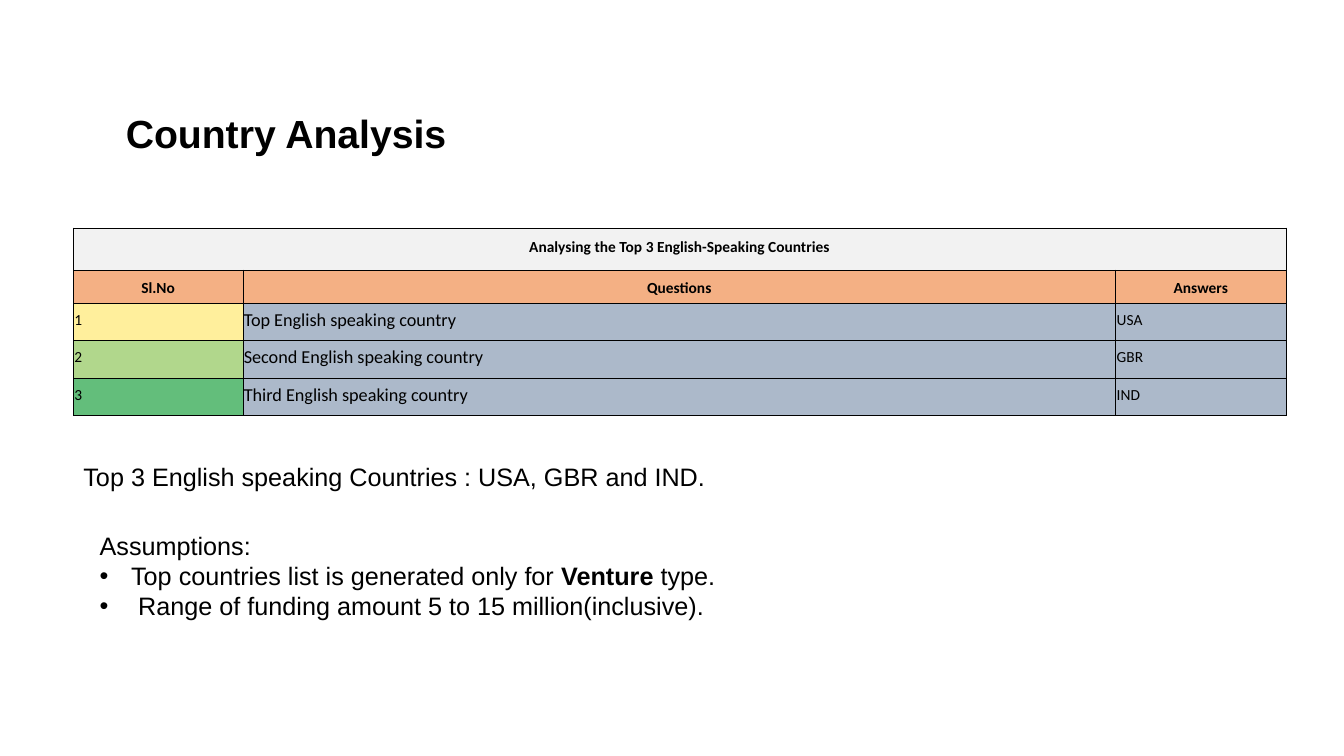
from dataclasses import dataclass

from lxml.etree import SubElement
from pptx import Presentation
from pptx.dml.color import RGBColor
from pptx.enum.text import MSO_ANCHOR, PP_ALIGN
from pptx.oxml.ns import qn
from pptx.util import Pt


@dataclass(frozen=True)
class Theme:
    ink: str = "000000"
    band: str = "F2F2F2"
    head: str = "F4B084"
    body: str = "ACB9CA"
    ranks: tuple = ("FFEF9C", "B1D78C", "63BE7B")
    sans: str = "Arial"
    grid: str = "Calibri"
    title: int = 28
    text: int = 18
    cell: int = 11
    ask: int = 13
    rule: float = 0.5


THEME = Theme()
COLS = (121, 623.5, 121.5)
ROWS = (30, 23.8, 26.8, 26.8, 26.8)
HEADS = ("Sl.No", "Questions", "Answers")
FACTS = (
    ("1", "Top English speaking country", "USA"),
    ("2", "Second English speaking country", "GBR"),
    ("3", "Third English speaking country", "IND"),
)


def style(run, size, face, bold=False):
    font = run.font
    font.size = Pt(size)
    font.name = face
    font.bold = bold
    font.color.rgb = RGBColor.from_string(THEME.ink)


def add_text(slide, box, lines, size, anchor=MSO_ANCHOR.TOP):
    """Add a text box; each line is a list of (text, bold) pieces."""
    frame = slide.shapes.add_textbox(*map(Pt, box)).text_frame
    frame.word_wrap = True
    frame.vertical_anchor = anchor
    for i, line in enumerate(lines):
        para = frame.add_paragraph() if i else frame.paragraphs[0]
        for text, bold in line:
            run = para.add_run()
            run.text = text
            style(run, size, THEME.sans, bold)
    return frame


def add_bullet(para, indent):
    props = para._p.get_or_add_pPr()
    props.set("marL", str(Pt(indent)))
    props.set("indent", str(-Pt(indent)))
    SubElement(props, qn("a:buFont"), typeface=THEME.sans)
    SubElement(props, qn("a:buChar"), char="•")


def add_rules(cell):
    """Draw a thin line on all four sides of a cell."""
    props = cell._tc.get_or_add_tcPr()
    for side in ("lnL", "lnR", "lnT", "lnB"):
        line = SubElement(props, qn(f"a:{side}"), w=str(Pt(THEME.rule)))
        fill = SubElement(line, qn("a:solidFill"))
        SubElement(fill, qn("a:srgbClr"), val=THEME.ink)


def fill_cell(cell, text, color, size, head=False, anchor=MSO_ANCHOR.MIDDLE):
    add_rules(cell)
    cell.fill.solid()
    cell.fill.fore_color.rgb = RGBColor.from_string(color)
    cell.margin_left = cell.margin_right = cell.margin_top = Pt(0.7)
    cell.margin_bottom = Pt(3.6)
    cell.vertical_anchor = anchor
    para = cell.text_frame.paragraphs[0]
    para.text = text
    para.alignment = PP_ALIGN.CENTER if head else PP_ALIGN.LEFT
    for run in para.runs:
        style(run, size, THEME.grid, head)


def add_grid(slide, left, top):
    shape = slide.shapes.add_table(
        len(ROWS), len(COLS), Pt(left), Pt(top), Pt(sum(COLS)), Pt(sum(ROWS)))
    table = shape.table
    table.first_row = table.horz_banding = False
    for col, width in zip(table.columns, COLS):
        col.width = Pt(width)
    for row, height in zip(table.rows, ROWS):
        row.height = Pt(height)

    table.cell(0, 0).merge(table.cell(0, len(COLS) - 1))
    banner = ("Analysing the Top 3 English-Speaking Countries", "", "")
    for c, text in enumerate(banner):
        fill_cell(table.cell(0, c), text, THEME.band, THEME.cell, True)
    for c, text in enumerate(HEADS):
        fill_cell(table.cell(1, c), text, THEME.head, THEME.cell, True,
                  MSO_ANCHOR.BOTTOM)
    sizes = (THEME.cell, THEME.ask, THEME.cell)
    for r, (fact, rank) in enumerate(zip(FACTS, THEME.ranks), 2):
        fills = (rank, THEME.body, THEME.body)
        for c, (text, color, size) in enumerate(zip(fact, fills, sizes)):
            fill_cell(table.cell(r, c), text, color, size)


def add_notes(slide, box):
    """Add the assumptions heading and its bullets."""
    lines = [
        [("Assumptions:", False)],
        [("Top countries list is generated only for ", False),
         ("Venture ", True), ("type.", False)],
        [(" Range of funding amount 5 to 15 million(inclusive).", False)],
    ]
    frame = add_text(slide, box, lines, THEME.text)
    for para in frame.paragraphs[1:]:
        add_bullet(para, 22.5)


def main():
    deck = Presentation()
    deck.slide_width, deck.slide_height = Pt(960), Pt(540)
    slide = deck.slides.add_slide(deck.slide_layouts[6])
    add_text(slide, (82.8, 49.7, 386.6, 90), [[("Country Analysis", True)]],
             THEME.title, MSO_ANCHOR.MIDDLE)
    add_grid(slide, 52.5, 162.8)
    add_text(slide, (52.5, 326.2, 885, 29),
             [[("Top 3 English speaking Countries : USA, GBR and IND.", False)]],
             THEME.text)
    add_notes(slide, (64.1, 375.1, 763, 72.7))
    deck.save("out.pptx")


if __name__ == "__main__":
    main()
